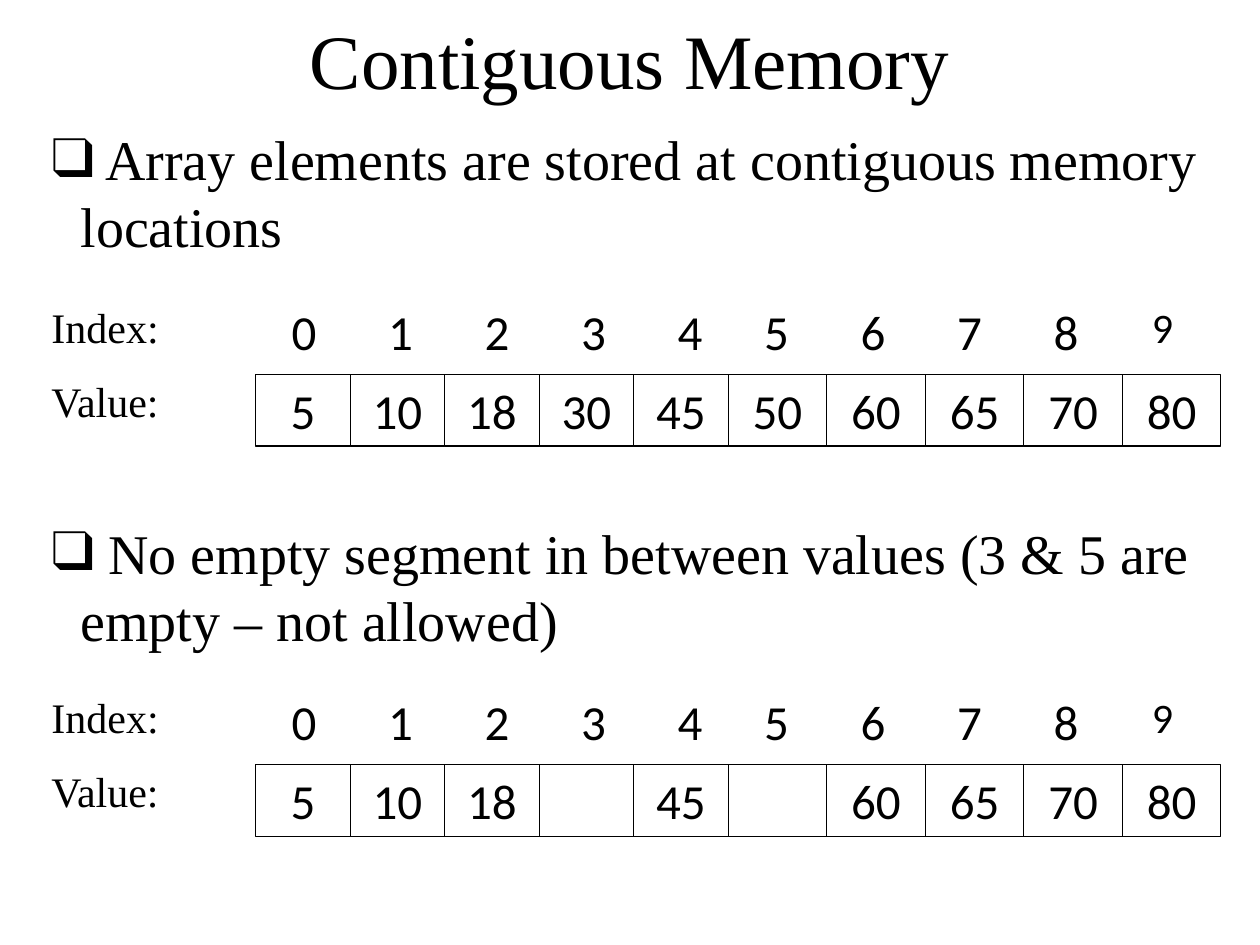
from lxml.etree import SubElement
from pptx import Presentation
from pptx.dml.color import RGBColor
from pptx.enum.shapes import MSO_SHAPE
from pptx.enum.text import MSO_ANCHOR, MSO_AUTO_SIZE, PP_ALIGN
from pptx.oxml.ns import qn
from pptx.util import Inches, Pt

TITLE = "Contiguous Memory"
BULLETS = [
    (" Array elements are stored at contiguous memory locations", 0),
    (" No empty segment in between values (3 & 5 are empty – not allowed)", 148),
]
INDEXES = [str(i) for i in range(10)]
ARRAYS = [
    (2.34, ["5", "10", "18", "30", "45", "50", "60", "65", "70", "80"]),
    (5.44, ["5", "10", "18", "", "45", "", "60", "65", "70", "80"]),
]
HALF_STARTS = (2.03, 5.78)
VALUE_ENDS = (5.78, 9.69)
INDEX_ENDS = (5.86, 9.61)
HALF = 5
LABEL_LEFT, LABEL_WIDTH, LABEL_HEIGHT = 0.31, 1.41, 0.5
LABEL_STEP, VALUE_STEP, CELL_HEIGHT = 0.59, 0.63, 0.57
BLACK = RGBColor(0, 0, 0)
SERIF, SANS = "Times New Roman", "Calibri"


def place(shape, left, top, width, height):
    shape.left, shape.top = Inches(left), Inches(top)
    shape.width, shape.height = Inches(width), Inches(height)


def write(p, text, size, font, align=PP_ALIGN.LEFT):
    p.alignment = align
    if text:
        r = p.add_run()
        r.text = text
        r.font.size, r.font.name = Pt(size), font
        r.font.color.rgb = BLACK


def add_bullet(p):
    pPr = p._p.get_or_add_pPr()
    pPr.set("marL", str(Inches(0.23)))
    pPr.set("indent", str(-Inches(0.23)))
    color = SubElement(pPr, qn("a:buClr"))
    SubElement(color, qn("a:srgbClr"), val=str(BLACK))
    SubElement(pPr, qn("a:buFont"), typeface=SERIF)
    SubElement(pPr, qn("a:buChar"), char="❑")


def add_text(shapes, box, text, size, font, align=PP_ALIGN.LEFT):
    tf = shapes.add_textbox(*map(Inches, box)).text_frame
    tf.word_wrap = True
    write(tf.paragraphs[0], text, size, font, align)


def add_cell(shapes, box, text):
    cell = shapes.add_shape(MSO_SHAPE.RECTANGLE, *map(Inches, box))
    cell.shadow.inherit = False
    cell.fill.background()
    cell.line.color.rgb = BLACK
    cell.line.width = Pt(0.75)
    tf = cell.text_frame
    tf.vertical_anchor = MSO_ANCHOR.TOP
    write(tf.paragraphs[0], text, 28, SANS, PP_ALIGN.CENTER)


def row_boxes(ends, top):
    for start, end in zip(HALF_STARTS, ends):
        width = (end - start) / HALF
        for i in range(HALF):
            yield start + i * width, top, width, CELL_HEIGHT


def add_array(s, top, values):
    for i, label in enumerate(("Index:", "Value:")):
        box = (LABEL_LEFT, top + i * LABEL_STEP, LABEL_WIDTH, LABEL_HEIGHT)
        add_text(s.shapes, box, label, 24, SERIF)
    cells = s.shapes.add_group_shape().shapes
    for box, value in zip(row_boxes(VALUE_ENDS, top + VALUE_STEP), values):
        add_cell(cells, box, value)
    numbers = s.shapes.add_group_shape().shapes
    for box, index in zip(row_boxes(INDEX_ENDS, top), INDEXES):
        size = 24 if index == INDEXES[-1] else 28
        add_text(numbers, box, index, size, SANS, PP_ALIGN.CENTER)


def main():
    prs = Presentation()
    prs.slide_width, prs.slide_height = Inches(10), Inches(7.5)
    s = prs.slides.add_slide(prs.slide_layouts[1])

    title, body = s.shapes.title, s.placeholders[1]
    place(title, 0.75, 0.16, 8.5, 0.62)
    title.text_frame.auto_size = MSO_AUTO_SIZE.NONE
    title.text_frame.vertical_anchor = MSO_ANCHOR.MIDDLE
    write(title.text_frame.paragraphs[0], TITLE, 44, SERIF, PP_ALIGN.CENTER)

    place(body, 0.31, 0.94, 9.53, 5.94)
    tf = body.text_frame
    tf.auto_size = MSO_AUTO_SIZE.NONE
    for i, (text, gap) in enumerate(BULLETS):
        p = tf.add_paragraph() if i else tf.paragraphs[0]
        p.space_before = Pt(gap)
        add_bullet(p)
        write(p, text, 32, SERIF)

    for top, values in ARRAYS:
        add_array(s, top, values)
    prs.save("out.pptx")


if __name__ == "__main__":
    main()
